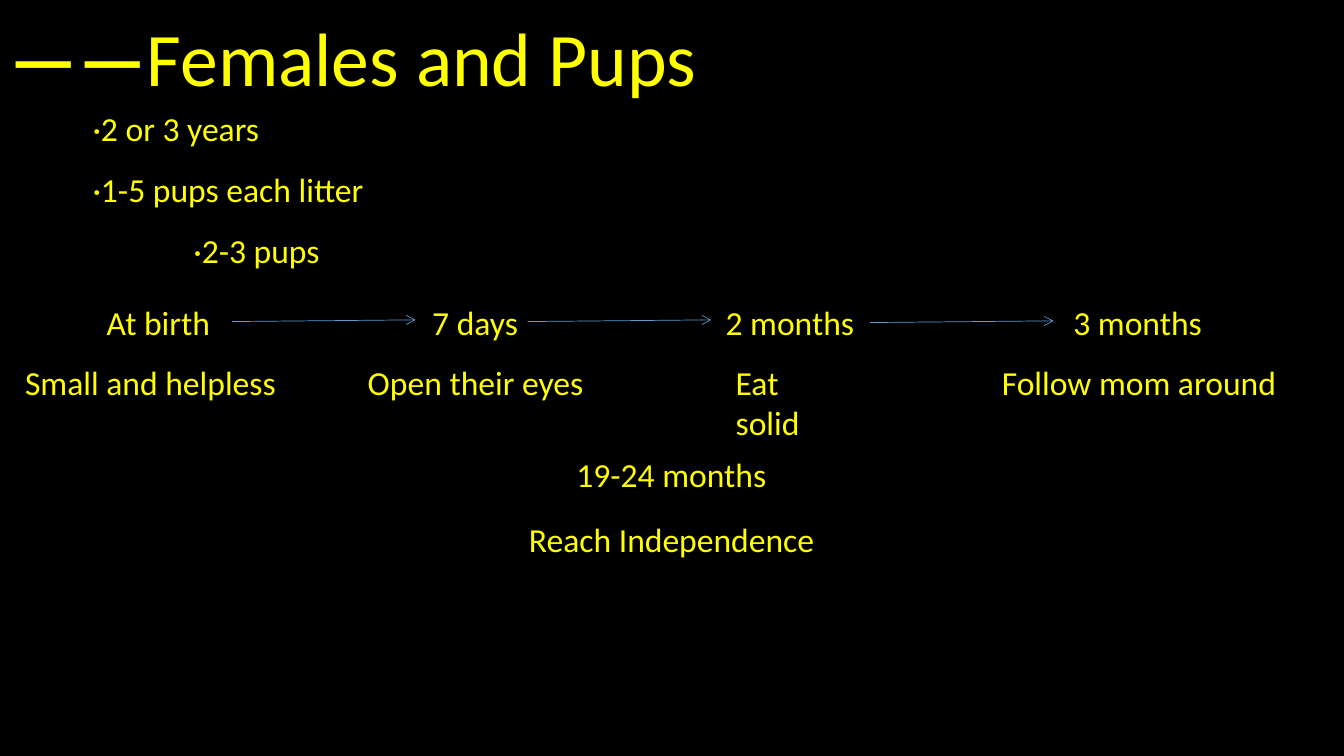
from lxml import etree
from pptx import Presentation
from pptx.dml.color import RGBColor
from pptx.enum.shapes import MSO_CONNECTOR
from pptx.enum.text import MSO_ANCHOR, MSO_AUTO_SIZE
from pptx.oxml.ns import qn
from pptx.util import Pt

BLACK = RGBColor(0x00, 0x00, 0x00)
YELLOW = RGBColor(0xFF, 0xFF, 0x00)
BLUE = RGBColor(0x5B, 0x9B, 0xD5)
STRAIGHT = MSO_CONNECTOR.STRAIGHT
TOP, BOTTOM = MSO_ANCHOR.TOP, MSO_ANCHOR.BOTTOM
FIT_SHAPE = MSO_AUTO_SIZE.SHAPE_TO_FIT_TEXT

LINE_HEIGHT = 43.5
STAGE_TOP = 215.3
CAPTION_TOP = 254.9


def add_text(left, top, width, height, runs, size=24, anchor=TOP):
    """Add a one-paragraph text box; runs are (text, bold) pairs."""
    box = slide.shapes.add_textbox(Pt(left), Pt(top), Pt(width), Pt(height))
    frame = box.text_frame
    frame.word_wrap = True
    frame.vertical_anchor = anchor
    paragraph = frame.paragraphs[0]
    paragraph.line_spacing = 0.9
    for text, bold in runs:
        run = paragraph.add_run()
        run.text = text
        run.font.name = "Calibri"
        run.font.size = Pt(size)
        run.font.bold = bold
        run.font.color.rgb = YELLOW
    return frame


def add_stage(label, label_left, label_width, label_top,
              caption, caption_left, caption_width, caption_top):
    """Add an age and, below it, what the pups do at that age."""
    frame = add_text(label_left, label_top, label_width, LINE_HEIGHT, [(label, False)])
    frame.paragraphs[0].space_before = Pt(10)
    frame = add_text(caption_left, caption_top, caption_width, 36, [(caption, False)])
    frame.paragraphs[0].line_spacing = 1.0
    frame.word_wrap = False
    frame.auto_size = FIT_SHAPE


presentation = Presentation()
presentation.slide_width = Pt(960)
presentation.slide_height = Pt(540)
slide = presentation.slides.add_slide(presentation.slide_layouts[6])
slide.background.fill.solid()
slide.background.fill.fore_color.rgb = BLACK

# Title
add_text(0, 16, 508, 61, [("——", True), ("Females and Pups", False)], 54, BOTTOM)

# Facts about litters, with the indent of each
facts = [("·2 or 3 years", 0), ("·1-5 pups each litter", 0), ("·2-3 pups", 72)]
for row, (fact, indent) in enumerate(facts):
    frame = add_text(59, 77 + row * LINE_HEIGHT, 251, LINE_HEIGHT, [(fact, False)])
    paragraph = frame.paragraphs[0]
    paragraph.space_before = Pt(10)
    paragraph._p.get_or_add_pPr().set("marL", str(Pt(indent)))

# Timeline: label, left, width, then caption, left, width
stages = [
    ("At birth", 69.1, 99.4, "Small and helpless", 10.8, 193.7),
    ("7 days", 301.7, 77, "Open their eyes", 255.6, 168.5),
    ("2 months", 511.2, 109.4, "Eat solid", 518.4, 95.8),
    ("3 months", 759.6, 109.4, "Follow mom around", 708.5, 210.2),
]
for label, label_left, label_width, caption, caption_left, caption_width in stages:
    add_stage(label, label_left, label_width, STAGE_TOP,
              caption, caption_left, caption_width, CAPTION_TOP)

# Arrows between the stages
for left, top in [(165.6, 229.7), (376.9, 229.7), (621.4, 230.4)]:
    arrow = slide.shapes.add_connector(
        STRAIGHT, Pt(left), Pt(top), Pt(left + 131.2), Pt(top - 1.2))
    arrow.line.color.rgb = BLUE
    arrow.line.width = Pt(0.5)
    etree.SubElement(arrow.line._get_or_add_ln(), qn("a:tailEnd"), type="arrow")
    etree.SubElement(arrow._element.spPr, qn("a:effectLst"))

# Final stage
add_stage("19-24 months", 404.6, 150.5, 324, "Reach Independence", 370.8, 218.2, 367.2)

presentation.save("out.pptx")
